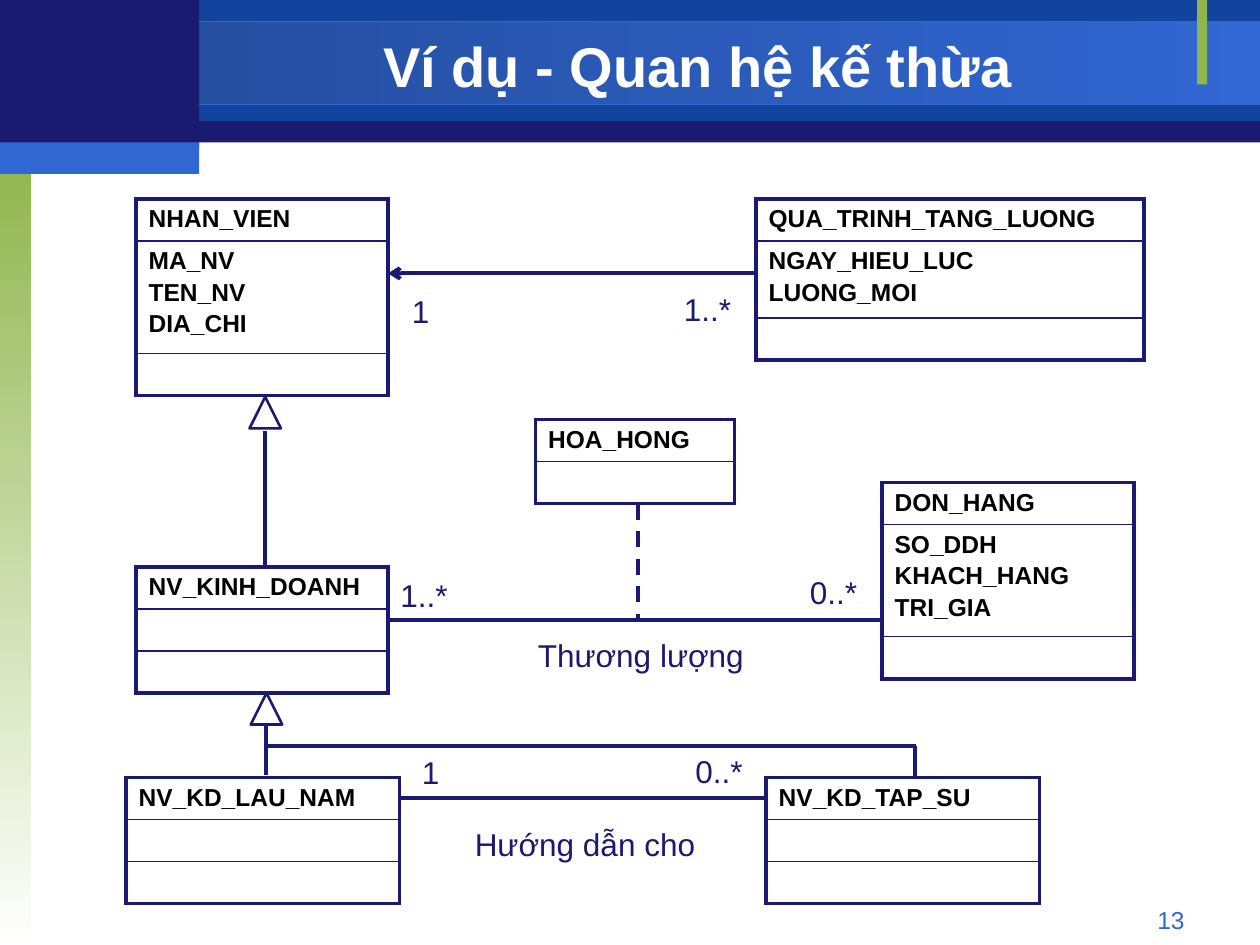
from lxml.etree import SubElement
from pptx import Presentation
from pptx.dml.color import RGBColor
from pptx.enum.dml import MSO_LINE
from pptx.enum.shapes import MSO_CONNECTOR, MSO_SHAPE
from pptx.enum.text import MSO_ANCHOR, PP_ALIGN
from pptx.oxml import parse_xml
from pptx.oxml.ns import nsdecls, qn
from pptx.util import Inches, Pt

NAVY = RGBColor(0x1A, 0x1A, 0x70)
BLUE = RGBColor(0x12, 0x44, 0x9E)
DARK_BLUE = RGBColor(0x23, 0x4A, 0x97)
BRIGHT = RGBColor(0x31, 0x67, 0xD3)
GREEN = RGBColor(0x90, 0xB5, 0x4D)
WHITE = RGBColor(0xFF, 0xFF, 0xFF)
BLACK = RGBColor(0, 0, 0)
FONT = "Arial"

# left, top, width, height, colours (two make a gradient), gradient angle, outline
BANDS = [
    (0, 0.01, 10, 1.12, [NAVY], 0, None),
    (1.58, 0, 8.42, 0.96, [BLUE], 0, None),
    (0, 0.17, 10, 0.66, [DARK_BLUE, BRIGHT], 0, BRIGHT),
    (0, 1.25, 0.25, 6.25, [GREEN, WHITE], 270, None),
    (9.5, 0, 0.08, 0.67, [GREEN], 0, None),
    (0, 0, 1.58, 1.17, [NAVY], 0, None),
    (0, 1.13, 1.58, 0.25, [BRIGHT], 0, None),
]

# left, top, width, row heights, class name, attributes
CLASSES = [
    (1.08, 1.58, 2, [0.33, 0.89, 0.33], "NHAN_VIEN", ["MA_NV", "TEN_NV", "DIA_CHI"]),
    (6, 1.58, 3.08, [0.33, 0.61, 0.33], "QUA_TRINH_TANG_LUONG",
     ["NGAY_HIEU_LUC", "LUONG_MOI"]),
    (1.08, 4.5, 2, [0.32] * 3, "NV_KINH_DOANH", []),
    (1, 6.17, 2.17, [0.32] * 3, "NV_KD_LAU_NAM", []),
    (6.08, 6.17, 2.17, [0.32] * 3, "NV_KD_TAP_SU", []),
    (7, 3.83, 2, [0.33, 0.89, 0.33], "DON_HANG", ["SO_DDH", "KHACH_HANG", "TRI_GIA"]),
    (4.25, 3.33, 1.58, [0.32] * 2, "HOA_HONG", []),
]

# x1, y1, x2, y2, style
LINES = [
    (6, 2.17, 3.08, 2.17, "arrow"),
    (2.1, 3.42, 2.1, 4.5, ""),
    (3.17, 6.33, 6.08, 6.33, ""),
    (2.11, 5.75, 2.11, 6.15, ""),
    (2.11, 5.92, 7.27, 5.92, ""),
    (7.26, 5.92, 7.26, 6.17, ""),
    (3.08, 4.92, 7, 4.92, ""),
    (5.06, 4, 5.06, 4.92, "dash"),
]
TRIANGLES = [(1.98, 3.15), (1.99, 5.5)]

# left, top, width, text
LABELS = [
    (3.25, 5.93, 0.33, "1"),
    (5.42, 5.92, 0.58, "0..*"),
    (6.33, 4.5, 0.58, "0..*"),
    (3.08, 4.52, 0.58, "1..*"),
    (4.17, 5, 1.92, "Thương lượng"),
    (3.67, 6.5, 2, "Hướng dẫn cho"),
    (3.17, 2.27, 0.33, "1"),
    (5.33, 2.25, 0.58, "1..*"),
]


def style_text(tf, size, color, bold=False, align=PP_ALIGN.LEFT):
    """Format every run of a text frame."""
    for p in tf.paragraphs:
        p.alignment = align
        for r in p.runs:
            r.font.name = FONT
            r.font.size = Pt(size)
            r.font.bold = bold
            r.font.color.rgb = color


def add_shape(s, kind, left, top, width, height):
    """Add a shape without shadow."""
    sp = s.shapes.add_shape(kind, Inches(left), Inches(top), Inches(width), Inches(height))
    sp.shadow.inherit = False
    return sp


def add_band(s, left, top, width, height, colors, angle, outline):
    """Add one rectangle of the slide frame."""
    sp = add_shape(s, MSO_SHAPE.RECTANGLE, left, top, width, height)
    if len(colors) == 1:
        sp.fill.solid()
        sp.fill.fore_color.rgb = colors[0]
    else:
        sp.fill.gradient()
        sp.fill.gradient_angle = angle
        for stop, color in zip(sp.fill.gradient_stops, colors):
            stop.color.rgb = color
    if outline is None:
        sp.line.fill.background()
    else:
        sp.line.color.rgb = outline
        sp.line.width = Pt(0.75)


def add_text(s, left, top, width, height, text, size, color, **style):
    """Add a wrapping text box and return its frame."""
    tf = s.shapes.add_textbox(Inches(left), Inches(top), Inches(width),
                              Inches(height)).text_frame
    tf.word_wrap = True
    tf.text = text
    style_text(tf, size, color, **style)
    return tf


def set_borders(cell, top, bottom):
    """Draw the four cell borders, with the given top and bottom widths."""
    tc_pr = cell._tc.get_or_add_tcPr()
    sides = [("L", 2.25), ("R", 2.25), ("T", top), ("B", bottom)]
    for i, (side, width) in enumerate(sides):
        tc_pr.insert(i, parse_xml(
            f'<a:ln{side} {nsdecls("a")} w="{Pt(width)}"><a:solidFill>'
            f'<a:srgbClr val="{NAVY}"/></a:solidFill></a:ln{side}>'))


def add_class(s, left, top, width, heights, name, attributes):
    """Add a class box as a one-column table."""
    count = len(heights)
    table = s.shapes.add_table(count, 1, Inches(left), Inches(top), Inches(width),
                               Inches(sum(heights))).table
    table.first_row = table.horz_banding = False
    texts = [name, "\n".join(attributes), ""]
    for i, height in enumerate(heights):
        table.rows[i].height = Inches(height)
        cell = table.cell(i, 0)
        cell.fill.background()
        set_borders(cell, 1 if i else 2.25, 1 if i < count - 1 else 2.25)
        tf = cell.text_frame
        tf.text = texts[i]
        style_text(tf, 14, BLACK, bold=True)
        for p in tf.paragraphs[1:]:
            p.space_before = Pt(2.3)
        if not texts[i]:
            SubElement(tf.paragraphs[0]._p, qn("a:endParaRPr"), sz="1400")


def add_line(s, x1, y1, x2, y2, style):
    """Add a relation line, with an open arrow or dashes if asked."""
    cn = s.shapes.add_connector(MSO_CONNECTOR.STRAIGHT, Inches(x1), Inches(y1),
                                Inches(x2), Inches(y2))
    cn.line.color.rgb = NAVY
    cn.line.width = Pt(2.25)
    if style == "dash":
        cn.line.dash_style = MSO_LINE.DASH
    if style == "arrow":
        SubElement(cn.line._get_or_add_ln(), qn("a:tailEnd"), type="arrow")
    SubElement(cn._element.spPr, qn("a:effectLst"))


def add_triangle(s, left, top):
    """Add the hollow triangle of an inheritance relation."""
    sp = add_shape(s, MSO_SHAPE.FLOWCHART_EXTRACT, left, top, 0.25, 0.25)
    sp.fill.background()
    sp.line.color.rgb = NAVY
    sp.line.width = Pt(1.5)


prs = Presentation()
prs.slide_width, prs.slide_height = Inches(10), Inches(7.5)
s = prs.slides.add_slide(prs.slide_layouts[6])

for band in BANDS:
    add_band(s, *band)
add_text(s, 7.17, 7.13, 2.33, 0.27, "13", 14, BRIGHT, align=PP_ALIGN.RIGHT)
title = add_text(s, 1.58, 0.23, 7.92, 0.58, "Ví dụ - Quan hệ kế thừa", 32, WHITE,
                 bold=True, align=PP_ALIGN.CENTER)
title.vertical_anchor = MSO_ANCHOR.MIDDLE
for class_box in CLASSES:
    add_class(s, *class_box)
for line in LINES:
    add_line(s, *line)
for triangle in TRIANGLES:
    add_triangle(s, *triangle)
for left, top, width, text in LABELS:
    add_text(s, left, top, width, 0.4, text, 18, NAVY)

prs.save("out.pptx")
